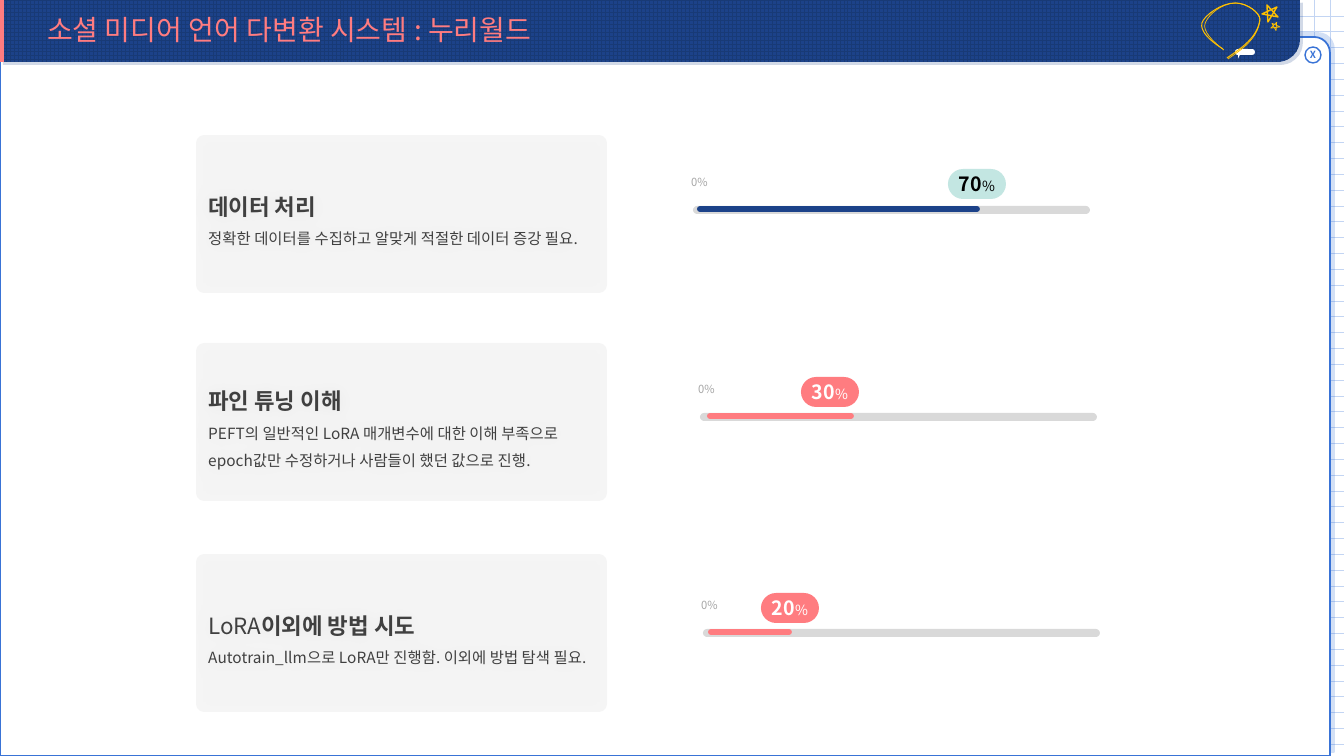
"""Build the slide on next steps for the social media language conversion system."""
import dataclasses

import lxml.etree
import pptx
import pptx.dml.color
import pptx.enum.dml
import pptx.enum.shapes
import pptx.enum.text
import pptx.oxml.ns
import pptx.util

TITLE = "소셜 미디어 언어 다변환 시스템 : 누리월드"


@dataclasses.dataclass(frozen=True)
class Theme:
    """Colours and type sizes."""
    font: str = "Noto Sans CJK KR"
    white: str = "FFFFFF"
    black: str = "000000"
    navy: str = "1C4289"
    navy_grid: str = "183A76"
    blue: str = "3973D6"
    pale_blue: str = "C3D5F3"
    coral: str = "FF7C80"
    mint: str = "C3E6E2"
    gold: str = "FFC000"
    ink: str = "404040"
    muted: str = "A6A6A6"
    title: int = 20
    heading: int = 16
    body: int = 11
    value: int = 14
    unit: int = 10
    label: int = 8
    badge: int = 7


THEME = Theme()

ROWS = [
    {"heading": [("데이터 처리", True)],
     "body": "정확한 데이터를 수집하고 알맞게 적절한 데이터 증강 필요.",
     "percent": "70", "card_top": 135, "track": (693, 206), "fill": (700, 977),
     "pill": (948, 169), "bar": THEME.navy, "pill_fill": THEME.mint, "ink": THEME.black},
    {"heading": [("파인 튜닝 이해", True)],
     "body": "PEFT의 일반적인 LoRA 매개변수에 대한 이해 부족으로 "
             "epoch값만 수정하거나 사람들이 했던 값으로 진행.",
     "percent": "30", "card_top": 343, "track": (700, 413), "fill": (710, 851),
     "pill": (801, 377), "bar": THEME.coral, "pill_fill": THEME.coral, "ink": THEME.white},
    {"heading": [("LoRA", False), ("이외에 방법 시도", True)],
     "body": "Autotrain_llm으로 LoRA만 진행함. 이외에 방법 탐색 필요.",
     "percent": "20", "card_top": 554, "track": (703, 629), "fill": (711, 789),
     "pill": (761, 593), "bar": THEME.coral, "pill_fill": THEME.coral, "ink": THEME.white},
]

BUBBLES = [
    ([(1223, 49), (1209, 40), (1200, 31), (1202, 23), (1204, 16), (1221, 3), (1235, 3),
      (1247, 3), (1260, 13), (1260, 19), (1258, 38), (1240, 49), (1227, 58)], 0.75),
    ([(1224, 50), (1212, 41), (1203, 31), (1205, 24), (1207, 16), (1221, 3), (1236, 3),
      (1248, 3), (1260, 13), (1260, 20), (1258, 39), (1241, 50), (1228, 59)], 0.5),
]
STARS = [
    ([(1262, 14), (1277, 7), (1268, 22), (1267, 5), (1278, 17)], 1, 0),
    ([(1271, 25), (1280, 25), (1272, 30), (1275, 22), (1278, 30)], 0.5, 24.8),
]
BUBBLE_TAIL = [(1242, 52), (1239, 52), (1239, 53), (1237, 58), (1242, 53)]

SHAPE = pptx.enum.shapes.MSO_SHAPE
ALIGN = pptx.enum.text.PP_ALIGN
ANCHOR = pptx.enum.text.MSO_ANCHOR
PATTERN = pptx.enum.dml.MSO_PATTERN
QN = pptx.oxml.ns.qn


def px(length):
    """Turn px into EMU."""
    return pptx.util.Emu(round(length * 914400 / 100.8))


def rgb(color):
    """Turn a hex string into a colour."""
    return pptx.dml.color.RGBColor.from_string(color)


def set_alpha(color_node, percent):
    """Give a colour element an opacity."""
    lxml.etree.SubElement(color_node, QN("a:alpha"), val=str(percent * 1000))


def set_pattern(fill, pattern, front, back):
    """Apply a two-colour pattern fill."""
    fill.patterned()
    fill.pattern = pattern
    fill.fore_color.rgb = rgb(front)
    fill.back_color.rgb = rgb(back)


def paint(shape, fill=None, line=None, width=1, alpha=None):
    """Set fill and outline and remove the default shadow."""
    shape.shadow.inherit = False
    if fill:
        shape.fill.solid()
        shape.fill.fore_color.rgb = rgb(fill)
    else:
        shape.fill.background()
    if alpha:
        set_alpha(shape.element.spPr.find(QN("a:solidFill"))[0], alpha)
    if line:
        shape.line.color.rgb = rgb(line)
        shape.line.width = pptx.util.Pt(width)
    else:
        shape.line.fill.background()


def add_shape(page, kind, bounds, radius=None, **look):
    """Add a painted preset shape."""
    shape = page.shapes.add_shape(kind, *map(px, bounds))
    if radius is not None:
        shape.adjustments[0] = radius
    paint(shape, **look)
    return shape


def add_outline(page, points, closed, **look):
    """Add a painted outline through px points."""
    corners = [(px(x), px(y)) for x, y in points]
    builder = page.shapes.build_freeform(*corners[0])
    builder.add_line_segments(corners[1:], close=closed)
    shape = builder.convert_to_shape()
    paint(shape, **look)
    return shape


def bend(shape):
    """Turn each three straight segments of an outline into one cubic curve."""
    segments = list(shape.element.iter(QN("a:lnTo")))
    for first in range(0, len(segments), 3):
        curve = lxml.etree.Element(QN("a:cubicBezTo"))
        segments[first].addprevious(curve)
        for segment in segments[first:first + 3]:
            curve.append(segment[0])
            segment.getparent().remove(segment)


def add_shadow(shape, color, alpha, blur=0, distance=0, angle=0):
    """Add an outer shadow, with lengths in points and the angle in degrees."""
    effects = shape.element.spPr.find(QN("a:effectLst"))
    shadow = lxml.etree.SubElement(
        effects, QN("a:outerShdw"), blurRad=str(pptx.util.Pt(blur)),
        dist=str(pptx.util.Pt(distance)), dir=str(angle * 60000), algn="ctr", rotWithShape="0")
    set_alpha(lxml.etree.SubElement(shadow, QN("a:srgbClr"), val=color), alpha)


def write(box, lines, *, color, align=ALIGN.LEFT, anchor=ANCHOR.MIDDLE,
          spacing=None, wrap=True, margin=None, indent=0):
    """Fill a box with lines of (text, size, bold) spans."""
    frame = box.text_frame
    frame.word_wrap = wrap
    frame.vertical_anchor = anchor
    if margin is not None:
        frame.margin_left = frame.margin_right = frame.margin_top = frame.margin_bottom = margin
    for number, spans in enumerate(lines):
        para = frame.add_paragraph() if number else frame.paragraphs[0]
        para.alignment = align
        para.line_spacing = spacing
        if indent:
            para._p.get_or_add_pPr().set("marL", str(px(indent)))
        for text, size, bold in spans:
            span = para.add_run()
            span.text = text
            span.font.name = THEME.font
            span.font.size = pptx.util.Pt(size)
            span.font.bold = bold
            span.font.color.rgb = rgb(color)


def add_window(page):
    """Draw the window, its header and the doodles."""
    window = add_shape(page, SHAPE.ROUND_1_RECTANGLE, (0, 37, 1330, 719), 0.022,
                       fill=THEME.white, line=THEME.blue, width=1.25)
    add_shadow(window, THEME.blue, 21, distance=4, angle=315)
    close = add_shape(page, SHAPE.OVAL, (1305, 47, 16, 16), fill=THEME.white, line=THEME.blue)
    write(close, [[("X", THEME.badge, True)]], color=THEME.blue, align=ALIGN.CENTER,
          wrap=False, margin=0)
    header = add_shape(page, SHAPE.ROUND_1_RECTANGLE, (0, 0, 1300, 62), 0.363)
    set_pattern(header.fill, PATTERN.LARGE_GRID, THEME.navy_grid, THEME.navy)
    header.element.spPr.get_or_add_xfrm().set("flipV", "1")
    add_shadow(header, THEME.navy, 20, distance=3, angle=45)
    add_outline(page, BUBBLE_TAIL, True, fill=THEME.white).rotation = 341
    add_shape(page, SHAPE.ROUNDED_RECTANGLE, (1235, 49, 20, 6), 0.5, fill=THEME.white)
    add_shape(page, SHAPE.RECTANGLE, (0, 0, 4, 62), fill=THEME.coral)
    for points, width in BUBBLES:
        bend(add_outline(page, points, False, line=THEME.gold, width=width))
    for points, width, angle in STARS:
        add_outline(page, points, True, line=THEME.gold, width=width).rotation = angle


def add_title(page):
    """Place the title placeholder over the header."""
    title = page.shapes.title
    title.left, title.top, title.width, title.height = map(px, (18, 7, 979, 44))
    title.text_frame.auto_size = pptx.enum.text.MSO_AUTO_SIZE.NONE
    write(title, [[(TITLE, THEME.title, False)]], color=THEME.coral, anchor=ANCHOR.TOP, indent=19)
    page.shapes._spTree.append(title.element)


def add_row(page, row):
    """Draw one card with its progress bar."""
    card = add_shape(page, SHAPE.ROUNDED_RECTANGLE, (196, row["card_top"], 411, 158), 0.05,
                     fill=THEME.black, alpha=4)
    add_shadow(card, THEME.black, 5, blur=12)
    heading = [(text, THEME.heading, bold) for text, bold in row["heading"]]
    write(card, [heading, [(row["body"], THEME.body, False)]], color=THEME.ink, spacing=1.5)
    left, top = row["track"]
    add_shape(page, SHAPE.ROUNDED_RECTANGLE, (left, top, 397, 8), 0.5, fill=THEME.black, alpha=15)
    start, end = row["fill"]
    bar = page.shapes.add_connector(pptx.enum.shapes.MSO_CONNECTOR.STRAIGHT,
                                    px(start), px(top + 3), px(end), px(top + 3))
    bar.line.color.rgb = rgb(row["bar"])
    bar.line.width = pptx.util.Pt(4.25)
    bar.line._ln.set("cap", "rnd")
    lxml.etree.SubElement(bar.element.spPr, QN("a:effectLst"))
    label = page.shapes.add_textbox(*map(px, (left - 15, top - 36, 43, 24)))
    write(label, [[("0%", THEME.label, False)]], color=THEME.muted, align=ALIGN.CENTER,
          anchor=ANCHOR.TOP)
    pill = add_shape(page, SHAPE.ROUNDED_RECTANGLE, (*row["pill"], 58, 30), 0.5,
                     fill=row["pill_fill"])
    write(pill, [[(row["percent"], THEME.value, True), ("%", THEME.unit, False)]],
          color=row["ink"], align=ALIGN.CENTER, wrap=False)


def main():
    """Build and save the deck."""
    deck = pptx.Presentation()
    deck.slide_width, deck.slide_height = px(1344), px(756)
    page = deck.slides.add_slide(deck.slide_layouts[5])
    set_pattern(page.background.fill, PATTERN.DOTTED_GRID, THEME.pale_blue, THEME.white)
    add_window(page)
    add_title(page)
    for row in ROWS:
        add_row(page, row)
    deck.save("out.pptx")


if __name__ == "__main__":
    main()
